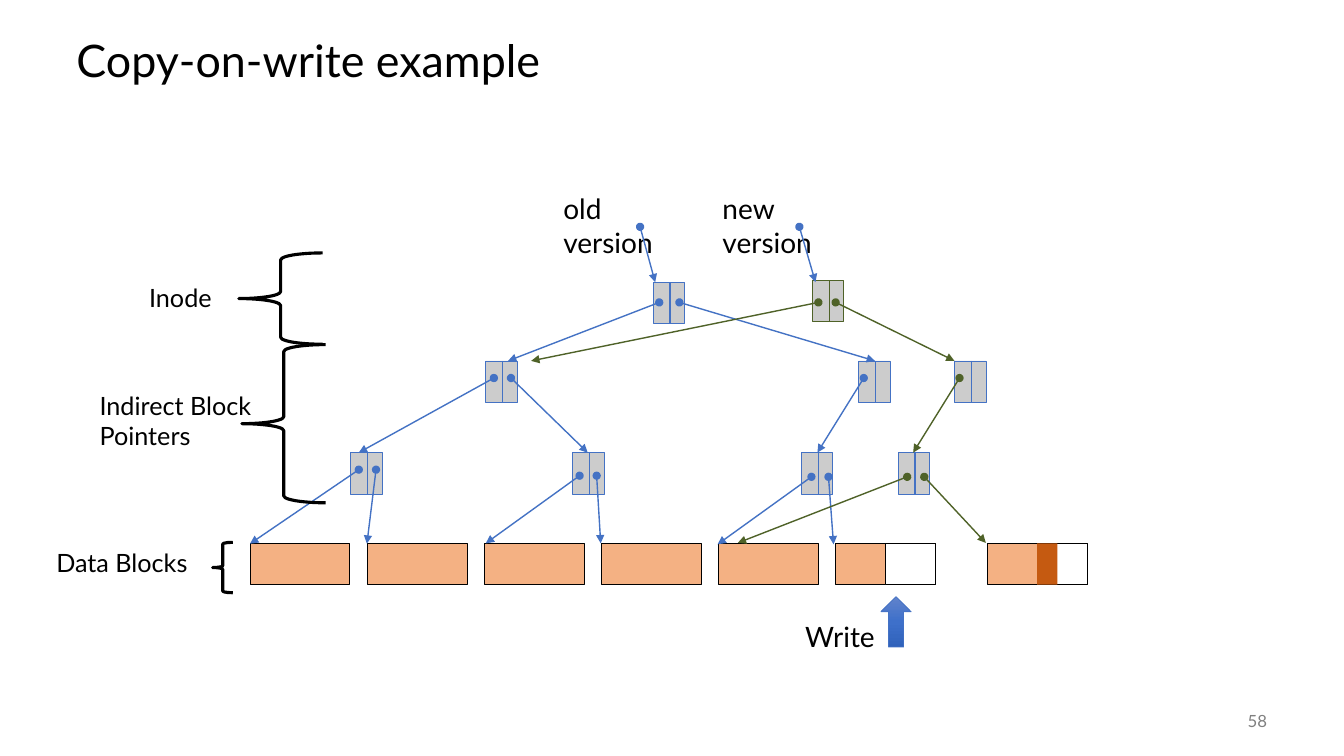
"""Build a slide showing a copy-on-write block tree before and after a write."""
from copy import deepcopy

from pptx import Presentation
from pptx.dml.color import RGBColor
from pptx.enum.shapes import MSO_CONNECTOR, MSO_SHAPE
from pptx.enum.text import MSO_ANCHOR, PP_ALIGN
from pptx.oxml.ns import qn
from pptx.util import Pt

RECTANGLE, BRACE, UP_ARROW = MSO_SHAPE.RECTANGLE, MSO_SHAPE.LEFT_BRACE, MSO_SHAPE.UP_ARROW
STRAIGHT = MSO_CONNECTOR.STRAIGHT
TOP, MIDDLE = MSO_ANCHOR.TOP, MSO_ANCHOR.MIDDLE
LEFT, RIGHT = PP_ALIGN.LEFT, PP_ALIGN.RIGHT

BLACK = RGBColor(0x00, 0x00, 0x00)
WHITE = RGBColor(0xFF, 0xFF, 0xFF)
GREY = RGBColor(0x80, 0x80, 0x80)
NODE_GREY = RGBColor(0xCC, 0xCC, 0xCC)
BLUE = RGBColor(0x44, 0x72, 0xC4)
GREEN = RGBColor(0x4F, 0x62, 0x28)
ORANGE = RGBColor(0xF4, 0xB1, 0x83)
BROWN = RGBColor(0xC5, 0x5A, 0x11)
ARROW_STOPS = [
    (0, RGBColor(0x61, 0x83, 0xCB)),
    (0.5, RGBColor(0x3E, 0x70, 0xCA)),
    (1, RGBColor(0x30, 0x62, 0xBB)),
]

FONT = "Lato"
BLOCK_LEFT, BLOCK_TOP, BLOCK_PITCH, BLOCK_COUNT = 178.6, 388.1, 83.66, 6
BLOCK_WIDTH, BLOCK_HEIGHT, HALF_WIDTH, WRITTEN_WIDTH = 71.3, 29.5, 36, 14.4
NEW_BLOCK_LEFT = 705.6
NODE_WIDTH, NODE_HEIGHT, DIVIDER_OFFSET = 22.5, 29.5, 12.1

NODE_ROWS = [
    (201.6, BLUE, [466.6]),
    (200.2, GREEN, [580.3]),
    (257.8, BLUE, [347, 613.4, 681.8]),
    (323.3, BLUE, [250.6, 409, 572.4, 641.5]),
]
POINTER_ROWS = [
    (162, 201.6, BLUE, [(457.2, 468), (571, 582.5)]),
    (216, 257.8, BLUE, [(470.9, 362.9), (485.3, 625)]),
    (270, 323.3, BLUE, [(352.8, 256.3), (365, 419.8), (617, 583.9)]),
    (335.5, 388.4, BLUE, [(256.3, 178.6), (268.6, 262.1)]),
    (339.8, 388.1, BLUE, [(414, 347), (426.2, 429.1)]),
    (340.6, 388.8, BLUE, [(579.6, 512.6), (591.8, 595.4)]),
    (216, 257.8, GREEN, [(584.6, 379.4), (596.9, 681.8)]),
    (270, 323.3, GREEN, [(685.4, 652.3)]),
    (340.6, 387.8, GREEN, [(648, 527), (660.2, 704.2)]),
]
BRACES = [
    (170.6, 180.7, 59.8, 65.2),
    (172.8, 246.2, 59.8, 113),
    (151.9, 387.4, 14.4, 36),
]
LABELS = [
    ("Copy-on-write example", (47.5, 18, 864, 54), {"size": 32, "anchor": MIDDLE, "spacing": 0.9}),
    ("58", (840.2, 500.4, 72, 28.8), {"size": 12, "color": GREY, "anchor": MIDDLE, "align": RIGHT}),
    ("Write", (568.1, 439.2, 64.8, 31.7), {"size": 20, "wrap": False}),
    ("old version", (395.3, 133.2, 105.8, 31.7), {"size": 20, "right_inset": 30}),
    ("new version", (509, 133.6, 113.8, 31.7), {"size": 20, "right_inset": 30}),
    ("Inode", (99.4, 198, 61.2, 28.8), {}),
    ("Indirect Block Pointers", (64.1, 275, 127.4, 51.1), {}),
    ("Data Blocks", (33.1, 387.4, 114.5, 28.8), {}),
]


def add_text(slide, text, place, size=18, color=BLACK, anchor=TOP, align=LEFT,
             wrap=True, spacing=1.0, right_inset=7.2):
    box = slide.shapes.add_textbox(*map(Pt, place))
    frame = box.text_frame
    frame.word_wrap = wrap
    frame.vertical_anchor = anchor
    frame.margin_right = Pt(right_inset)
    para = frame.paragraphs[0]
    para.alignment = align
    para.line_spacing = spacing
    span = para.add_run()
    span.text = text
    span.font.name = FONT
    span.font.size = Pt(size)
    span.font.color.rgb = color


def add_figure(slide, kind, place, fill=None, line=None, weight=0.5):
    figure = slide.shapes.add_shape(kind, *map(Pt, place))
    figure.shadow.inherit = False
    if fill is None:
        figure.fill.background()
    else:
        figure.fill.solid()
        figure.fill.fore_color.rgb = fill
    if line is None:
        figure.line.fill.background()
    else:
        figure.line.color.rgb = line
        figure.line.width = Pt(weight)
    return figure


def add_line(slide, start, end, color, pointer=False):
    connector = slide.shapes.add_connector(STRAIGHT, *map(Pt, start + end))
    connector.line.color.rgb = color
    connector.line.width = Pt(1)
    properties = connector.element.spPr
    if pointer:
        outline = properties.find(qn("a:ln"))
        for tag, head in (("a:headEnd", "oval"), ("a:tailEnd", "triangle")):
            outline.append(outline.makeelement(qn(tag), {"type": head}))
    properties.append(properties.makeelement(qn("a:effectLst"), {}))


def add_blocks(slide):
    lefts = [BLOCK_LEFT + BLOCK_PITCH * index for index in range(BLOCK_COUNT)]
    for left in lefts + [NEW_BLOCK_LEFT]:
        add_figure(slide, RECTANGLE, (left, BLOCK_TOP, BLOCK_WIDTH, BLOCK_HEIGHT), ORANGE, BLACK)
    for left in (lefts[-1], NEW_BLOCK_LEFT):
        half_left = left + BLOCK_WIDTH - HALF_WIDTH
        add_figure(slide, RECTANGLE, (half_left, BLOCK_TOP, HALF_WIDTH, BLOCK_HEIGHT), WHITE, BLACK)
    add_figure(slide, RECTANGLE, (half_left, BLOCK_TOP, WRITTEN_WIDTH, BLOCK_HEIGHT), BROWN)


def add_write_arrow(slide):
    arrow = add_figure(slide, UP_ARROW, (629.3, 426.2, 21.6, 36), BLUE, BLUE)
    arrow.fill.gradient()
    arrow.fill.gradient_angle = 270
    first_stop = arrow.element.spPr.find(".//" + qn("a:gs"))
    first_stop.addnext(deepcopy(first_stop))
    for stop, (position, color) in zip(arrow.fill.gradient_stops, ARROW_STOPS):
        stop.position = position
        stop.color.rgb = color


def main():
    deck = Presentation()
    deck.slide_width, deck.slide_height = Pt(960), Pt(540)
    slide = deck.slides.add_slide(deck.slide_layouts[6])
    add_blocks(slide)
    add_write_arrow(slide)
    for top, color, lefts in NODE_ROWS:
        for left in lefts:
            add_figure(slide, RECTANGLE, (left, top, NODE_WIDTH, NODE_HEIGHT), NODE_GREY, color)
            middle = left + DIVIDER_OFFSET
            add_line(slide, (middle, top), (middle, top + NODE_HEIGHT), color)
    for label, place, style in LABELS:
        add_text(slide, label, place, **style)
    for start_top, end_top, color, pairs in POINTER_ROWS:
        for start_left, end_left in pairs:
            add_line(slide, (start_left, start_top), (end_left, end_top), color, pointer=True)
    for place in BRACES:
        add_figure(slide, BRACE, place, line=BLACK, weight=2.25)
    deck.save("out.pptx")


if __name__ == "__main__":
    main()
